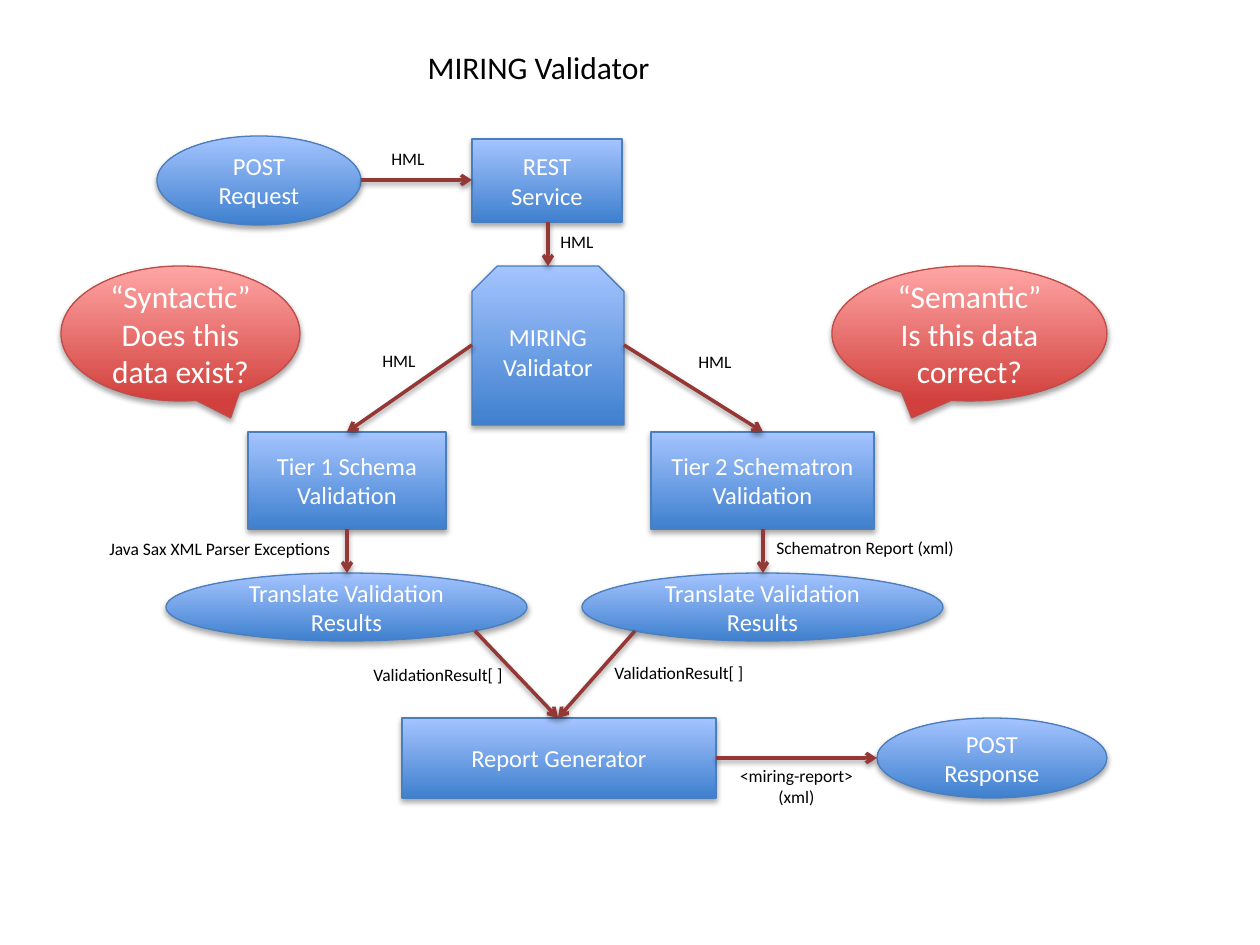
"""Build the MIRING validator flow diagram slide."""
from dataclasses import dataclass

from lxml.etree import SubElement
from pptx import Presentation
from pptx.dml.color import RGBColor
from pptx.enum.shapes import MSO_CONNECTOR, MSO_SHAPE as Preset
from pptx.enum.text import MSO_ANCHOR as Anchor, MSO_AUTO_SIZE as AutoSize, PP_ALIGN as Align
from pptx.oxml.ns import qn
from pptx.util import Emu, Pt

PIXEL = 914400 // 126
WHITE = RGBColor(0xFF, 0xFF, 0xFF)
BLACK = RGBColor(0, 0, 0)
ARROW = RGBColor(0x95, 0x37, 0x35)


@dataclass(frozen=True)
class Palette:
    bottom: RGBColor
    top: RGBColor
    line: RGBColor


BLUE = Palette(RGBColor(0x3F, 0x80, 0xCE), RGBColor(0xA4, 0xC4, 0xFF), RGBColor(0x4B, 0x7E, 0xBC))
RED = Palette(RGBColor(0xD1, 0x40, 0x3C), RGBColor(0xFF, 0xA6, 0xA5), RGBColor(0xBF, 0x4C, 0x48))


@dataclass(frozen=True)
class Node:
    text: str
    preset: Preset
    box: tuple[int, int, int, int]
    palette: Palette = BLUE
    size: int = 14
    tip: float | None = None


@dataclass(frozen=True)
class Label:
    text: str
    box: tuple[int, int, int, int]
    align: Align = Align.LEFT


@dataclass(frozen=True)
class Arrow:
    start: tuple[int, int]
    end: tuple[int, int]


NODES = [
    Node("REST Service", Preset.RECTANGLE, (472, 139, 150, 83)),
    Node("POST Request", Preset.OVAL, (157, 136, 204, 89)),
    Node("MIRING Validator", Preset.SNIP_2_SAME_RECTANGLE, (472, 266, 152, 159)),
    Node("Tier 1 Schema Validation", Preset.RECTANGLE, (248, 432, 198, 97)),
    Node("Tier 2 Schematron Validation", Preset.RECTANGLE, (651, 432, 223, 97)),
    Node("Translate Validation Results", Preset.OVAL, (166, 573, 361, 68)),
    Node("Translate Validation Results", Preset.OVAL, (582, 573, 361, 68)),
    Node("Report Generator", Preset.RECTANGLE, (402, 718, 314, 80)),
    Node("POST Response", Preset.OVAL, (877, 718, 230, 80)),
    Node("“Syntactic” Does this data exist?", Preset.OVAL_CALLOUT, (61, 266, 239, 135), RED, 18, 0.21),
    Node("“Semantic” Is this data correct?", Preset.OVAL_CALLOUT, (832, 266, 275, 135), RED, 18, -0.21),
]
ARROWS = [
    Arrow((361, 180), (472, 180)),
    Arrow((548, 222), (548, 266)),
    Arrow((472, 345), (347, 432)),
    Arrow((624, 345), (763, 432)),
    Arrow((347, 529), (347, 573)),
    Arrow((763, 529), (763, 573)),
    Arrow((475, 631), (558, 718)),
    Arrow((635, 631), (558, 718)),
    Arrow((716, 758), (877, 758)),
]
LABELS = [
    Label("HML", (379, 142, 59, 34)),
    Label("HML", (548, 225, 59, 34)),
    Label("HML", (370, 344, 59, 34)),
    Label("HML", (686, 345, 59, 34)),
    Label("ValidationResult[ ]", (602, 656, 161, 34)),
    Label("ValidationResult[ ]", (361, 658, 161, 34)),
    Label("<miring-report> (xml)", (716, 759, 161, 55), Align.CENTER),
    Label("Schematron Report (xml)", (764, 531, 238, 34)),
    Label("Java Sax XML Parser Exceptions", (97, 532, 272, 34)),
]


def scaled(*pixels: int) -> list[Emu]:
    return [Emu(value * PIXEL) for value in pixels]


def set_attributes(target, values: dict) -> None:
    for name, value in values.items():
        setattr(target, name, value)


def write_text(shape, text: str, size: int, color: RGBColor, align: Align, anchor: Anchor, fit: AutoSize) -> None:
    frame = shape.text_frame
    frame.text = text
    set_attributes(frame, {"word_wrap": True, "auto_size": fit, "vertical_anchor": anchor})
    paragraph = frame.paragraphs[0]
    paragraph.alignment = align
    set_attributes(paragraph.font, {"name": "Calibri", "size": Pt(size)})
    paragraph.font.color.rgb = color


def add_shadow(effects, distance: int, alpha: int) -> None:
    values = {"blurRad": "40000", "dist": str(distance), "dir": "5400000", "rotWithShape": "0"}
    shadow = SubElement(effects, qn("a:outerShdw"), values)
    color = SubElement(shadow, qn("a:srgbClr"), val="000000")
    SubElement(color, qn("a:alpha"), val=str(alpha * 1000))


def add_node(slide, node: Node) -> None:
    shape = slide.shapes.add_shape(node.preset, *scaled(*node.box))
    shape.fill.gradient()
    shape.fill.gradient_angle = 90
    for stop, color in zip(shape.fill.gradient_stops, (node.palette.bottom, node.palette.top)):
        stop.color.rgb = color
    shape.line.color.rgb = node.palette.line
    shape.line.width = Pt(0.75)
    if node.tip is not None:
        shape.adjustments[0] = node.tip
    shape.shadow.inherit = False
    add_shadow(shape._element.spPr.find(qn("a:effectLst")), 23000, 35)
    write_text(shape, node.text, node.size, WHITE, Align.CENTER, Anchor.MIDDLE, AutoSize.NONE)


def add_arrow(slide, arrow: Arrow) -> None:
    connector = slide.shapes.add_connector(MSO_CONNECTOR.STRAIGHT, *scaled(*arrow.start, *arrow.end))
    connector.line.color.rgb = ARROW
    connector.line.width = Pt(2)
    properties = connector._element.spPr
    SubElement(properties.find(qn("a:ln")), qn("a:tailEnd"), type="arrow")
    add_shadow(SubElement(properties, qn("a:effectLst")), 20000, 38)


def add_label(slide, label: Label) -> None:
    box = slide.shapes.add_textbox(*scaled(*label.box))
    write_text(box, label.text, 10, BLACK, label.align, Anchor.TOP, AutoSize.SHAPE_TO_FIT_TEXT)


def add_title(slide, text: str) -> None:
    title = slide.shapes.title
    left, top, width, height = scaled(415, 42, 287, 51)
    set_attributes(title, {"left": left, "top": top, "width": width, "height": height})
    write_text(title, text, 18, BLACK, Align.LEFT, Anchor.TOP, AutoSize.SHAPE_TO_FIT_TEXT)


def main() -> None:
    presentation = Presentation()
    width, height = scaled(1260, 945)
    set_attributes(presentation, {"slide_width": width, "slide_height": height})
    slide = presentation.slides.add_slide(presentation.slide_layouts[5])
    add_title(slide, "MIRING Validator")
    for items, draw in ((NODES, add_node), (ARROWS, add_arrow), (LABELS, add_label)):
        for item in items:
            draw(slide, item)
    presentation.save("out.pptx")


main()
